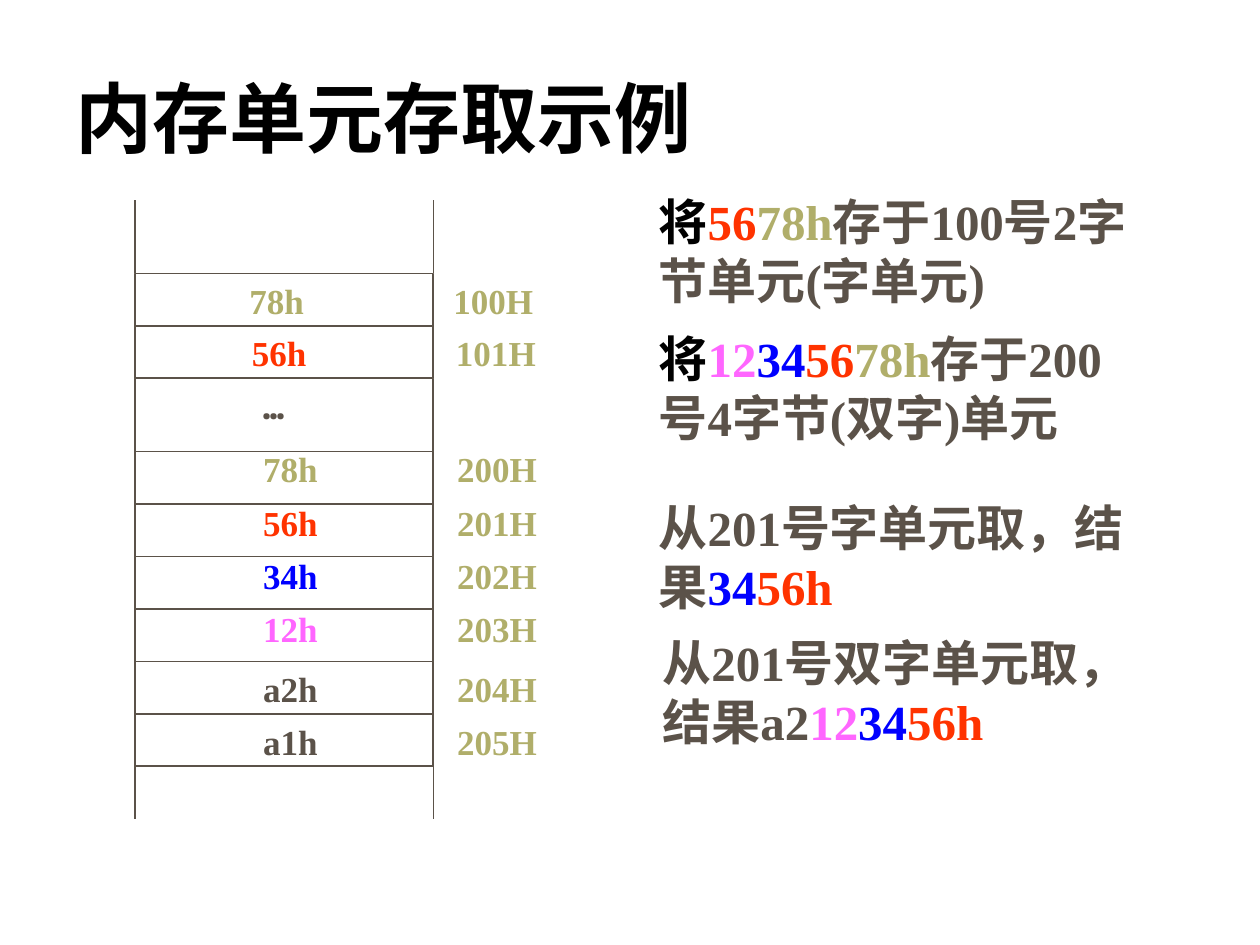
from dataclasses import dataclass

from lxml.etree import SubElement
from pptx import Presentation
from pptx.dml.color import RGBColor
from pptx.enum.shapes import MSO_CONNECTOR, MSO_SHAPE
from pptx.enum.text import MSO_ANCHOR
from pptx.oxml.ns import qn
from pptx.slide import Slide
from pptx.text.text import _Paragraph
from pptx.util import Inches, Pt

BLACK = RGBColor(0x00, 0x00, 0x00)
BROWN = RGBColor(0x5B, 0x52, 0x49)
OLIVE = RGBColor(0xB0, 0xAE, 0x6A)
RED = RGBColor(0xFF, 0x33, 0x00)
BLUE = RGBColor(0x00, 0x00, 0xFF)
PINK = RGBColor(0xFF, 0x66, 0xFF)

SERIF = "Times New Roman"
MEMORY_LEFT, MEMORY_WIDTH = 1.07, 2.37
MEMORY_TOP = 2.17
CELL_HEIGHT, GAP_HEIGHT = 5 / 12, 0.58
RAIL_HEIGHT = 0.58
TEXT_INSET = 0.1


@dataclass(frozen=True)
class Span:
    text: str
    color: RGBColor


@dataclass(frozen=True)
class MemoryLabel:
    value: str
    address: str
    color: RGBColor
    top: float
    left: float = 1.15
    width: float = 3.3
    value_left: float = 2.09
    address_left: float = 3.63


@dataclass(frozen=True)
class Note:
    spans: tuple[Span, ...]
    top: float
    left: float = 5.13
    width: float = 4.04
    right_inset: float = TEXT_INSET


LABELS = (
    MemoryLabel("78h", "100H", OLIVE, 2.17, 0.98, 3.49, 1.98, 3.6),
    MemoryLabel("56h", "101H", RED, 2.58, 1.07, 3.49, 2.0, 3.62),
    MemoryLabel("78h", "200H", OLIVE, 3.5),
    MemoryLabel("56h", "201H", RED, 3.93),
    MemoryLabel("34h", "202H", BLUE, 4.35),
    MemoryLabel("12h", "203H", PINK, 4.77),
    MemoryLabel("a2h", "204H", BROWN, 5.25),
    MemoryLabel("a1h", "205H", BROWN, 5.67),
)

NOTES = (
    Note((Span("将", BLACK), Span("56", RED), Span("78h", OLIVE),
          Span("存于100号2字节单元(字单元)", BROWN)), 1.47),
    Note((Span("将", BLACK), Span("12", PINK), Span("34", BLUE), Span("56", RED),
          Span("78h", OLIVE), Span("存于200号4字节(双字)单元", BROWN)), 2.56),
    Note((Span("从201号字单元取，结果", BROWN), Span("34", BLUE),
          Span("56h", RED)), 3.9),
    Note((Span("从201号双字单元取，结果a2", BROWN), Span("12", PINK),
          Span("34", BLUE), Span("56h", RED)), 4.97, 5.16, 4.02, 0.47),
)


def add_text(slide: Slide, spans: tuple[Span, ...], left: float, top: float,
             width: float, height: float, size: int, font: str = SERIF,
             anchor: MSO_ANCHOR = MSO_ANCHOR.TOP,
             right_inset: float = TEXT_INSET) -> _Paragraph:
    box = slide.shapes.add_textbox(
        Inches(left), Inches(top), Inches(width), Inches(height))
    frame = box.text_frame
    frame.word_wrap = True
    frame.vertical_anchor = anchor
    frame.margin_right = Inches(right_inset)
    paragraph = frame.paragraphs[0]
    for span in spans:
        run = paragraph.add_run()
        run.text = span.text
        run.font.name = font
        run.font.size = Pt(size)
        run.font.bold = True
        run.font.color.rgb = span.color
    return paragraph


def add_cell(slide: Slide, top: float, height: float) -> None:
    cell = slide.shapes.add_shape(
        MSO_SHAPE.RECTANGLE, Inches(MEMORY_LEFT), Inches(top),
        Inches(MEMORY_WIDTH), Inches(height))
    cell.shadow.inherit = False
    cell.fill.background()
    cell.line.color.rgb = BROWN
    cell.line.width = Pt(1)


def add_rail(slide: Slide, left: float, top: float) -> None:
    rail = slide.shapes.add_connector(
        MSO_CONNECTOR.STRAIGHT, Inches(left), Inches(top),
        Inches(left), Inches(top + RAIL_HEIGHT))
    rail.line.color.rgb = BROWN
    rail.line.width = Pt(1)
    SubElement(rail._element.spPr, qn("a:effectLst"))


def add_label(slide: Slide, label: MemoryLabel) -> None:
    spans = (Span(f"\t{label.value}\t", label.color), Span(label.address, OLIVE))
    paragraph = add_text(
        slide, spans, label.left, label.top, label.width, 0.44, 20)
    tab_list = SubElement(paragraph._p.get_or_add_pPr(), qn("a:tabLst"))
    for stop in (label.value_left, label.address_left):
        offset = Inches(stop - label.left - TEXT_INSET)
        SubElement(tab_list, qn("a:tab"), pos=str(offset), algn="l")


def add_memory(slide: Slide) -> None:
    top = MEMORY_TOP
    for height in [CELL_HEIGHT] * 2 + [GAP_HEIGHT] + [CELL_HEIGHT] * 6:
        add_cell(slide, top, height)
        top += height
    for rail_top in (MEMORY_TOP - RAIL_HEIGHT, 5.92):
        for left in (MEMORY_LEFT, MEMORY_LEFT + MEMORY_WIDTH):
            add_rail(slide, left, rail_top)
    for label in LABELS:
        add_label(slide, label)
    add_text(slide, (Span("…", BROWN),), 1.99, 3, 0.37, 0.44, 20, "Noto Sans Mono")


def main() -> None:
    presentation = Presentation()
    presentation.slide_width = Inches(10)
    presentation.slide_height = Inches(7.5)
    slide = presentation.slides.add_slide(presentation.slide_layouts[6])
    add_text(slide, (Span("内存单元存取示例", BLACK),), 0.5, 0.3, 9, 1.25, 44,
             "Arial", MSO_ANCHOR.MIDDLE)
    add_memory(slide)
    for note in NOTES:
        add_text(slide, note.spans, note.left, note.top, note.width, 1.04, 28,
                 right_inset=note.right_inset)
    presentation.save("out.pptx")


if __name__ == "__main__":
    main()
